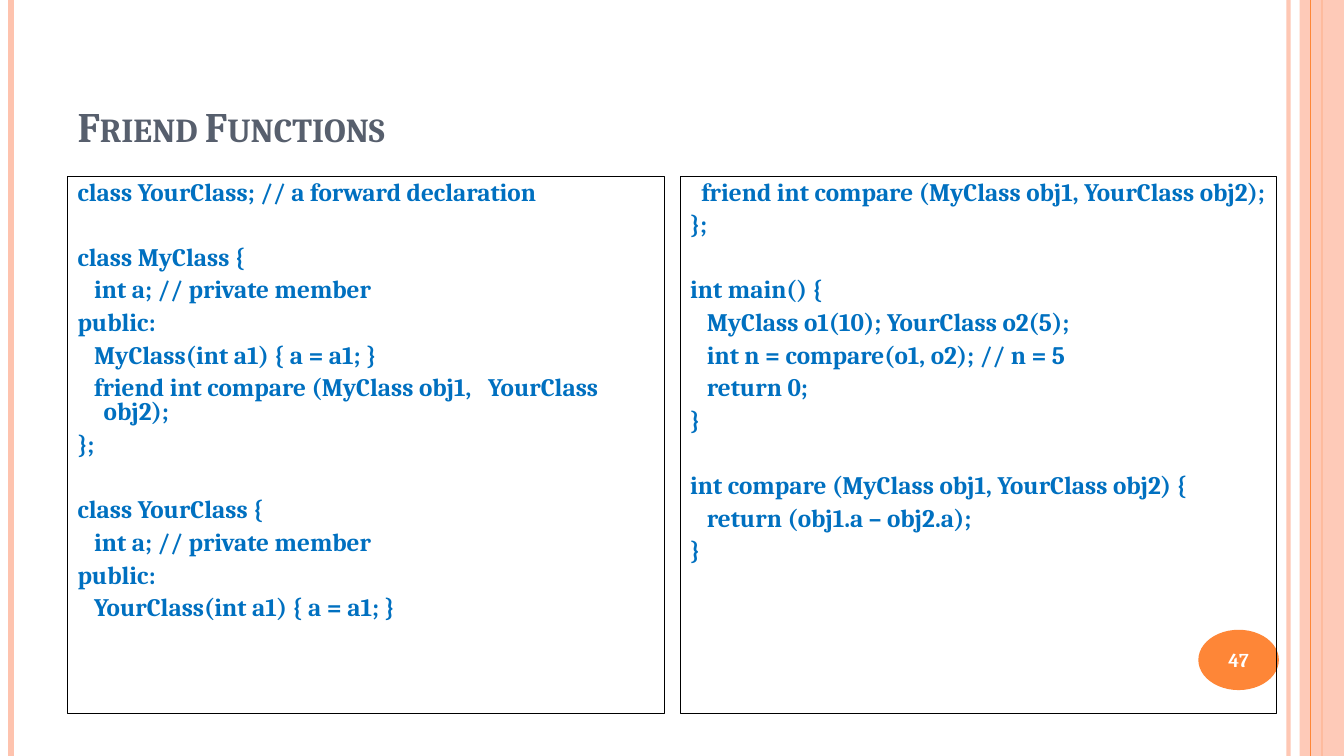
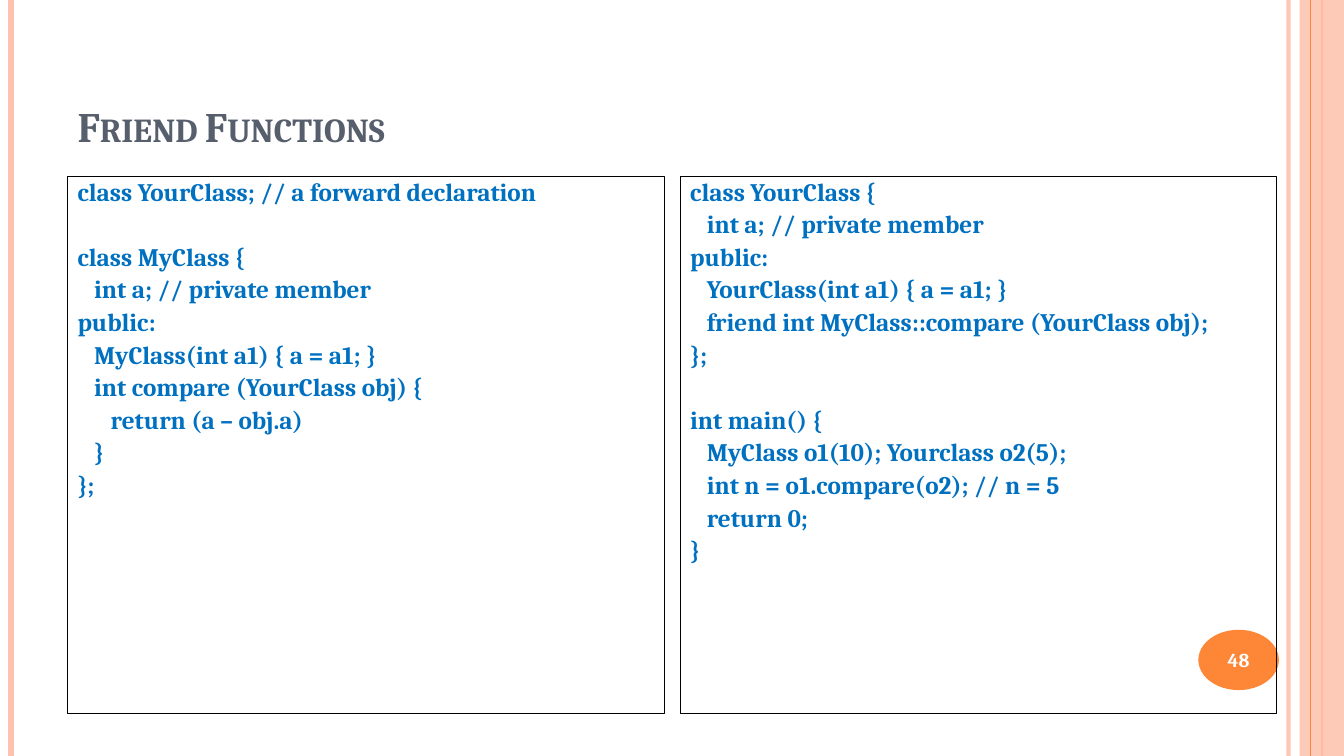
from collections import namedtuple
from dataclasses import dataclass

from lxml import etree
from pptx import Presentation
from pptx.dml.color import RGBColor
from pptx.enum import shapes, text
from pptx.oxml.ns import qn
from pptx.util import Cm, Pt

Box = namedtuple("Box", "left top width height")


@dataclass(frozen=True)
class Theme:
    font: str = "Cambria"
    title: str = "575F6D"
    code: str = "0070C0"
    peach: str = "FEC3AE"
    orange: str = "FE8637"
    white: str = "FFFFFF"
    border: str = "000000"
    title_size: float = 30
    code_size: float = 18
    number_size: float = 14
    line_gap: float = 6
    block_gap: float = 29.3


THEME = Theme()
PAGE = Box(0, 0, 33.87, 19.05)
TITLE = Box(1.7, 0.76, 28.5, 3.18)
CODE = Box(1.7, 4.45, 30.48, 13.54)
BADGE = Box(30.2, 15.87, 2.03, 1.52)
PANE_GAP = 0.4
HANGING = (0.66, 0.48)

FREE_LEFT = """class YourClass; // a forward declaration

class MyClass {
   int a; // private member
public:
   MyClass(int a1) { a = a1; }
   friend int compare (MyClass obj1,   YourClass obj2);
};

class YourClass {
   int a; // private member
public:
   YourClass(int a1) { a = a1; }"""

FREE_RIGHT = """  friend int compare (MyClass obj1, YourClass obj2);
};

int main() {
   MyClass o1(10); YourClass o2(5);
   int n = compare(o1, o2); // n = 5
   return 0;
}

int compare (MyClass obj1, YourClass obj2) {
   return (obj1.a – obj2.a);
}"""

MEMBER_LEFT = """class YourClass; // a forward declaration

class MyClass {
   int a; // private member
public:
   MyClass(int a1) { a = a1; }
   int compare (YourClass obj) {
      return (a – obj.a)
   }
};"""

MEMBER_RIGHT = """class YourClass {
   int a; // private member
public:
   YourClass(int a1) { a = a1; }
   friend int MyClass::compare (YourClass obj);
};

int main() {
   MyClass o1(10); Yourclass o2(5);
   int n = o1.compare(o2); // n = 5
   return 0;
}"""


def rgb(value):
    return RGBColor.from_string(value)


def place(shape, box):
    shape.left, shape.top, shape.width, shape.height = map(Cm, box)


def add_run(paragraph, words, size, color):
    run = paragraph.add_run()
    run.text = words
    run.font.name = THEME.font
    run.font.size = Pt(size)
    run.font.bold = True
    run.font.color.rgb = rgb(color)
    return run


def set_opacity(shape, percent):
    color = shape.element.spPr.find(".//" + qn("a:srgbClr"))
    etree.SubElement(color, qn("a:alpha"), val=str(percent * 1000))


def add_stripe(slide, box, x, color, width):
    stripe = slide.shapes.add_connector(
        shapes.MSO_CONNECTOR.STRAIGHT,
        Cm(x), Cm(box.top), Cm(x), Cm(box.top + box.height))
    stripe.line.color.rgb = rgb(color)
    stripe.line.width = Pt(width)
    etree.SubElement(stripe.element.spPr, qn("a:effectLst"))
    return stripe


def add_solid(slide, kind, box, color):
    solid = slide.shapes.add_shape(kind, *map(Cm, box))
    solid.fill.solid()
    solid.fill.fore_color.rgb = rgb(color)
    solid.line.fill.background()
    solid.shadow.inherit = False
    return solid


def decorate_layout(layout, slide, page):
    right = page.left + page.width
    inner = add_stripe(slide, page, right - 1.4, THEME.peach, 3)
    set_opacity(inner, 93)
    outer = add_stripe(slide, page, page.left + 0.28, THEME.peach, 4.5)
    veiled = add_stripe(slide, page, right - 0.56, THEME.orange, 1.5)
    edge = Box(right - 1.12, page.top, 1.12, page.height)
    band = add_solid(slide, shapes.MSO_SHAPE.RECTANGLE, edge, THEME.peach)
    set_opacity(band, 87)
    rule = add_stripe(slide, page, right - 0.85, THEME.orange, 0.75)
    badge = add_solid(slide, shapes.MSO_SHAPE.OVAL, BADGE, THEME.orange)
    for number, part in enumerate((inner, outer, veiled, band, rule, badge), 20):
        part.element.xpath(".//p:cNvPr")[0].set("id", str(number))
        layout.shapes.element.append(part.element)


def fill_title(title, box, words):
    place(title, box)
    frame = title.text_frame
    frame.auto_size = text.MSO_AUTO_SIZE.NONE
    frame.vertical_anchor = text.MSO_ANCHOR.BOTTOM
    heading = frame.paragraphs[0]
    heading.alignment = text.PP_ALIGN.LEFT
    run = add_run(heading, words, THEME.title_size, THEME.title)
    run.font._element.set("cap", "small")


def fill_pane(pane, box, code, hanging):
    place(pane, box)
    pane.line.color.rgb = rgb(THEME.border)
    pane.line.width = Pt(0.75)
    frame = pane.text_frame
    frame.auto_size = text.MSO_AUTO_SIZE.NONE
    blocks = [block.split("\n") for block in code.split("\n\n")]
    for block_index, block in enumerate(blocks):
        for line_index, line in enumerate(block):
            first = block_index == line_index == 0
            row = frame.paragraphs[0] if first else frame.add_paragraph()
            properties = row._p.get_or_add_pPr()
            properties.set("marL", str(Cm(hanging)))
            properties.set("indent", str(-Cm(hanging)))
            etree.SubElement(properties, qn("a:buNone"))
            row.line_spacing = 0.8
            gap = THEME.line_gap if line_index else THEME.block_gap
            row.space_before = Pt(0 if first else gap)
            add_run(row, line, THEME.code_size, THEME.code)


def add_page_number(slide, box, number):
    label = slide.shapes.add_textbox(*map(Cm, box))
    frame = label.text_frame
    frame.word_wrap = True
    frame.vertical_anchor = text.MSO_ANCHOR.MIDDLE
    digits = frame.paragraphs[0]
    digits.alignment = text.PP_ALIGN.CENTER
    add_run(digits, str(number), THEME.number_size, THEME.white)


def fill_code_slide(slide, heading, listings, number):
    title, *panes = slide.placeholders
    fill_title(title, TITLE, heading)
    width = (CODE.width - PANE_GAP) / 2
    for column, (pane, code) in enumerate(zip(panes, listings)):
        left = CODE.left + column * (width + PANE_GAP)
        box = Box(left, CODE.top, width, CODE.height)
        fill_pane(pane, box, code, HANGING[column])
    add_page_number(slide, BADGE, number)


def main():
    deck = Presentation()
    deck.slide_width, deck.slide_height = Cm(PAGE.width), Cm(PAGE.height)
    layout = deck.slide_layouts.get_by_name("Two Content")
    pages = ((FREE_LEFT, FREE_RIGHT), (MEMBER_LEFT, MEMBER_RIGHT))
    for number, listings in enumerate(pages, 47):
        slide = deck.slides.add_slide(layout)
        if number == 47:
            decorate_layout(layout, slide, PAGE)
        fill_code_slide(slide, "Friend Functions", listings, number)
    deck.save("out.pptx")


if __name__ == "__main__":
    main()
